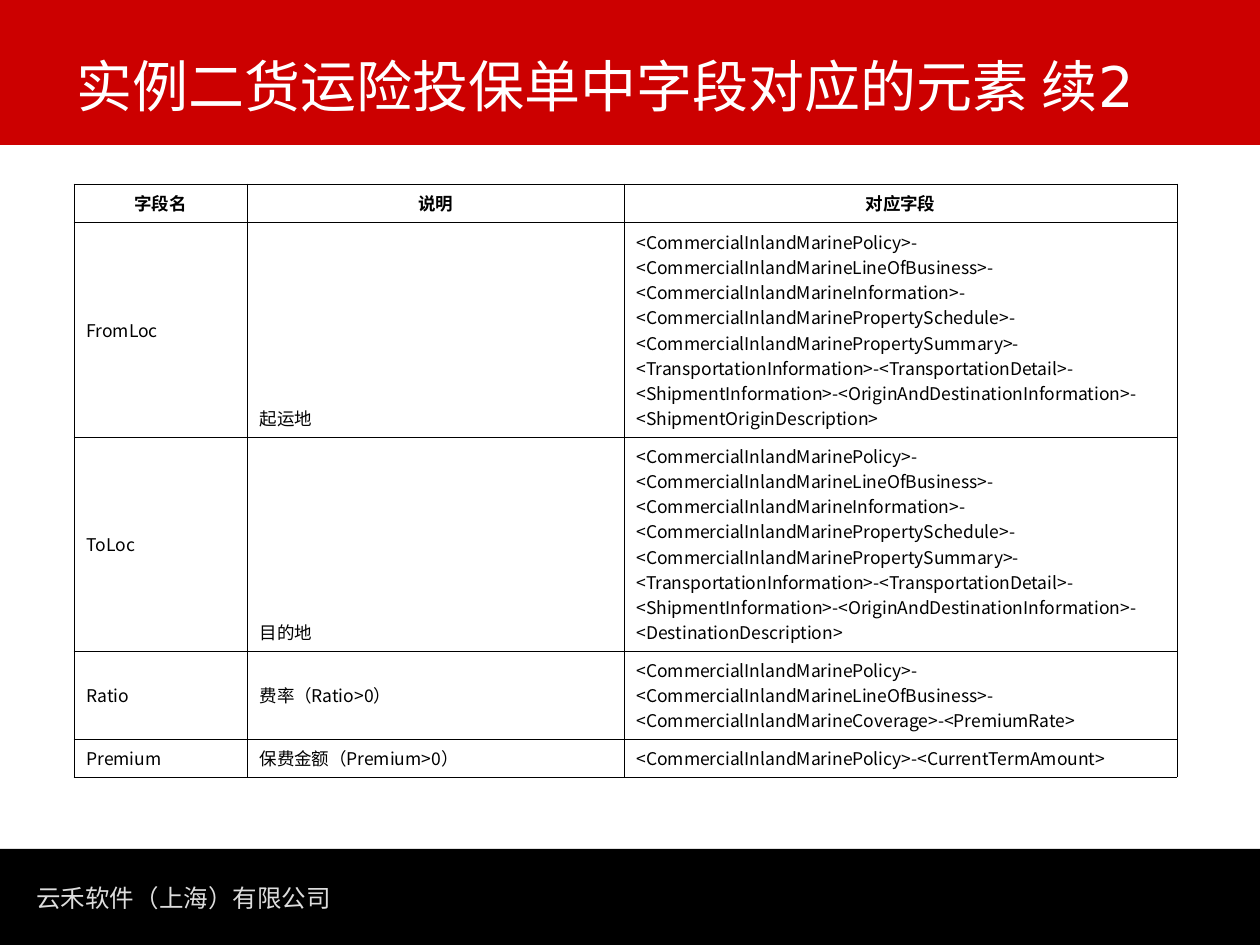
from lxml import etree
from pptx import Presentation
from pptx.dml.color import RGBColor
from pptx.enum import shapes, text
from pptx.oxml.ns import qn
from pptx.util import Emu, Pt

PX = 914400 // 126
COLORS = {"black": "000000", "red": "CC0000", "white": "FFFFFF", "grey": "DDDDDD"}
CJK_FONT = "Noto Sans CJK SC"
LATIN_FONT = "DejaVu Sans"
TOP, MIDDLE, BOTTOM = (
    text.MSO_ANCHOR.TOP, text.MSO_ANCHOR.MIDDLE, text.MSO_ANCHOR.BOTTOM)

POLICY = "<CommercialInlandMarinePolicy>-"
BUSINESS = POLICY + "<CommercialInlandMarineLineOfBusiness>-"
SHIPMENT = BUSINESS + (
    "<CommercialInlandMarineInformation>-"
    "<CommercialInlandMarinePropertySchedule>-"
    "<CommercialInlandMarinePropertySummary>-"
    "<TransportationInformation>-<TransportationDetail>-"
    "<ShipmentInformation>-<OriginAndDestinationInformation>-")
HEADERS = ("字段名", "说明", "对应字段")
FIELDS = [
    ("FromLoc", "起运地", SHIPMENT + "<ShipmentOriginDescription>", BOTTOM),
    ("ToLoc", "目的地", SHIPMENT + "<DestinationDescription>", BOTTOM),
    ("Ratio", "费率（Ratio>0）",
     BUSINESS + "<CommercialInlandMarineCoverage>-<PremiumRate>", MIDDLE),
    ("Premium", "保费金额（Premium>0）", POLICY + "<CurrentTermAmount>", MIDDLE),
]
COLUMN_WIDTHS = (173, 377, 553)
ROW_HEIGHTS = (38, 215, 214, 88, 38)


def px(*lengths):
    """Turn pixel lengths into EMU."""
    return [Emu(length * PX) for length in lengths]


def color(name):
    """Look up a palette colour."""
    return RGBColor.from_string(COLORS[name])


def write(frame, words, size, font_name, color_name, bold=False, align=None):
    """Put one styled paragraph into a text frame."""
    paragraph = frame.paragraphs[0]
    paragraph.text = words
    paragraph.alignment = align
    font = paragraph.font
    font.size, font.bold, font.name = Pt(size), bold, font_name
    font.color.rgb = color(color_name)
    properties = paragraph._p.pPr.find(qn("a:defRPr"))
    east_asian = etree.SubElement(properties, qn("a:ea"))
    east_asian.set("typeface", CJK_FONT)


def add_band(slide, box, color_name):
    """Draw a full-width colour band."""
    band = slide.shapes.add_shape(shapes.MSO_SHAPE.RECTANGLE, *px(*box))
    band.shadow.inherit = False
    band.fill.solid()
    band.fill.fore_color.rgb = color(color_name)
    band.line.fill.background()


def add_text(slide, box, words, size, color_name, anchor, wrap):
    """Place a line of text in a box."""
    frame = slide.shapes.add_textbox(*px(*box)).text_frame
    frame.word_wrap = wrap
    frame.vertical_anchor = anchor
    write(frame, words, size, LATIN_FONT, color_name)


def add_header(slide, left, top, width, height):
    """Build the red title band."""
    add_band(slide, (left, top, width, height), "red")
    add_text(slide, (left + 64, top + 7, width - 100, height - 27),
             "实例二货运险投保单中字段对应的元素 续2", 32, "white", BOTTOM, True)


def add_footer(slide, left, top, width, height):
    """Build the black band with the company name."""
    add_band(slide, (left, top, width, height), "black")
    add_text(slide, (left + 24, top + 28, 320, 43),
             "云禾软件（上海）有限公司", 14, "grey", TOP, False)


def add_borders(cell):
    """Give a cell thin black lines on all four sides."""
    properties = cell._tc.get_or_add_tcPr()
    for index, side in enumerate(("lnL", "lnR", "lnT", "lnB")):
        line = etree.Element(qn(f"a:{side}"), w=str(Pt(0.45)))
        fill = etree.SubElement(line, qn("a:solidFill"))
        etree.SubElement(fill, qn("a:srgbClr"), val=COLORS["black"])
        properties.insert(index, line)


def fill_cell(cell, words, anchor, header):
    """Write and style one table cell."""
    cell.fill.background()
    cell.vertical_anchor = anchor
    align = text.PP_ALIGN.CENTER if header else None
    write(cell.text_frame, words, 10, CJK_FONT, "black", header, align)
    add_borders(cell)


def add_field_table(slide, left, top):
    """Build the table that maps fields to elements."""
    box = px(left, top, sum(COLUMN_WIDTHS), sum(ROW_HEIGHTS))
    table = slide.shapes.add_table(len(ROW_HEIGHTS), len(COLUMN_WIDTHS), *box).table
    table.first_row = table.horz_banding = False
    for column, width in zip(table.columns, px(*COLUMN_WIDTHS)):
        column.width = width
    for row, height in zip(table.rows, px(*ROW_HEIGHTS)):
        row.height = height
    for column, words in enumerate(HEADERS):
        fill_cell(table.cell(0, column), words, BOTTOM, True)
    for row, (name, meaning, element, anchor) in enumerate(FIELDS, 1):
        fill_cell(table.cell(row, 0), name, MIDDLE, False)
        fill_cell(table.cell(row, 1), meaning, anchor, False)
        fill_cell(table.cell(row, 2), element, anchor, False)


def main():
    """Build and save the slide."""
    presentation = Presentation()
    presentation.slide_width, presentation.slide_height = px(1260, 945)
    slide = presentation.slides.add_slide(presentation.slide_layouts[6])
    add_footer(slide, 0, 849, 1260, 96)
    add_header(slide, 0, 0, 1260, 145)
    add_field_table(slide, 74, 184)
    presentation.save("out.pptx")


if __name__ == "__main__":
    main()
